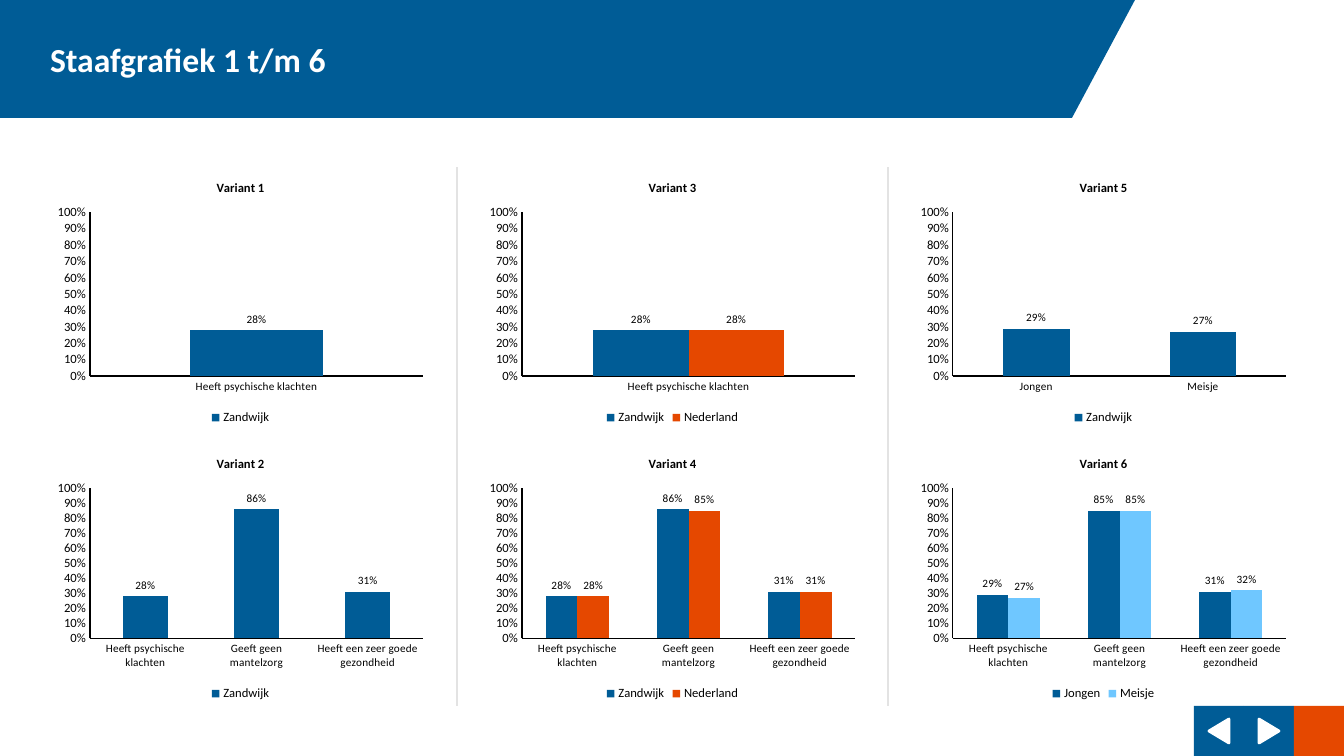
"""Build a slide with six clustered column charts under a title banner."""
from lxml import etree
from pptx import Presentation
from pptx.chart.data import CategoryChartData
from pptx.dml.color import RGBColor
from pptx.enum.chart import XL_CHART_TYPE, XL_LABEL_POSITION, XL_LEGEND_POSITION, XL_TICK_MARK
from pptx.enum.shapes import MSO_CONNECTOR, MSO_SHAPE
from pptx.enum.text import MSO_ANCHOR, PP_ALIGN
from pptx.oxml.ns import qn
from pptx.util import Pt

COLUMNS = XL_CHART_TYPE.COLUMN_CLUSTERED
OUTSIDE = XL_LABEL_POSITION.OUTSIDE_END
BOTTOM = XL_LEGEND_POSITION.BOTTOM
NO_TICK = XL_TICK_MARK.NONE
STRAIGHT = MSO_CONNECTOR.STRAIGHT
RECTANGLE = MSO_SHAPE.RECTANGLE
TRIANGLE = MSO_SHAPE.ISOSCELES_TRIANGLE
RIGHT_TRIANGLE = MSO_SHAPE.RIGHT_TRIANGLE
MIDDLE = MSO_ANCHOR.MIDDLE
LEFT = PP_ALIGN.LEFT

FONT = "Calibri"
BLUE, ORANGE, SKY = "005C96", "E54800", "6FC7FF"
BLACK, WHITE, GREY = "000000", "FFFFFF", "E3E3E3"

TITLE = "Staafgrafiek 1 t/m 6"
COMPLAINTS = ["Heeft psychische klachten"]
TOPICS = COMPLAINTS + ["Geeft geen mantelzorg", "Heeft een zeer goede gezondheid"]
CHARTS = [
    ("Variant 1", COMPLAINTS, [("Zandwijk", [0.28], BLUE)]),
    ("Variant 2", TOPICS, [("Zandwijk", [0.28, 0.86, 0.31], BLUE)]),
    ("Variant 3", COMPLAINTS, [("Zandwijk", [0.28], BLUE), ("Nederland", [0.28], ORANGE)]),
    ("Variant 4", TOPICS, [("Zandwijk", [0.28, 0.86, 0.31], BLUE),
                           ("Nederland", [0.28, 0.85, 0.31], ORANGE)]),
    ("Variant 5", ["Jongen", "Meisje"], [("Zandwijk", [0.29, 0.27], BLUE)]),
    ("Variant 6", TOPICS, [("Jongen", [0.29, 0.85, 0.31], BLUE),
                           ("Meisje", [0.27, 0.85, 0.32], SKY)]),
]
BUTTONS = [(BLUE, 270), (BLUE, 90), (ORANGE, None)]

PAGE_WIDTH, PAGE_HEIGHT = 1344, 756
BANNER_WIDTH, BANNER_HEIGHT, BANNER_TIP = 1072, 118, 63
MARGIN = 50
CHART_LEFTS = (50, 482, 913)
CHART_TOP, ROW_STEP = 167, 276
CHART_WIDTH, CHART_HEIGHT = 381, 262
DIVIDERS = (888, 457)
BUTTON = 50
BUTTON_TOP = PAGE_HEIGHT - BUTTON
ARROW_WIDTH, ARROW_HEIGHT = 24, 20


def px(length):
    return round(length * 914400 / 100.8)


def rgb(code):
    return RGBColor.from_string(code)


def set_font(font, size, color=BLACK, bold=False):
    font.name, font.size, font.bold = FONT, Pt(size), bold
    font.color.rgb = rgb(color)


def add_shape(page, kind, left, top, width, height, color, rotation=0):
    shape = page.shapes.add_shape(kind, px(left), px(top), px(width), px(height))
    shape.shadow.inherit = False
    shape.fill.solid()
    shape.fill.fore_color.rgb = rgb(color)
    shape.line.fill.background()
    shape.rotation = rotation
    return shape


def add_banner(page):
    tip = add_shape(page, RIGHT_TRIANGLE, BANNER_WIDTH, 0, BANNER_TIP, BANNER_HEIGHT, BLUE, 180)
    tip._element.spPr.xfrm.set("flipH", "1")
    banner = add_shape(page, RECTANGLE, 0, 0, BANNER_WIDTH, BANNER_HEIGHT, BLUE)
    frame = banner.text_frame
    frame.text = TITLE
    frame.margin_left = px(MARGIN)
    frame.vertical_anchor = MIDDLE
    para = frame.paragraphs[0]
    para.alignment = LEFT
    set_font(para.runs[0].font, 24, WHITE, True)


def add_buttons(page):
    for index, (color, rotation) in enumerate(BUTTONS):
        left = PAGE_WIDTH - BUTTON * (len(BUTTONS) - index)
        add_shape(page, RECTANGLE, left, BUTTON_TOP, BUTTON, BUTTON, color)
        if rotation is not None:
            arrow = add_shape(page, TRIANGLE, left + (BUTTON - ARROW_WIDTH) / 2,
                              BUTTON_TOP + (BUTTON - ARROW_HEIGHT) / 2,
                              ARROW_WIDTH, ARROW_HEIGHT, WHITE, rotation)
            arrow.line.color.rgb = rgb(WHITE)
            arrow.line.width = Pt(2)


def add_divider(page, x):
    line = page.shapes.add_connector(STRAIGHT, px(x), px(BUTTON_TOP), px(x), px(CHART_TOP))
    line.line.color.rgb = rgb(GREY)
    line.line.width = Pt(1)
    etree.SubElement(line._element.spPr, qn("a:effectLst"))


def style_axis(axis, size):
    axis.has_major_gridlines = False
    axis.major_tick_mark = axis.minor_tick_mark = NO_TICK
    axis.format.line.color.rgb = rgb(BLACK)
    axis.format.line.width = Pt(1)
    set_font(axis.tick_labels.font, size)


def add_chart(page, left, top, title, categories, series_list):
    data = CategoryChartData(number_format="0%")
    data.categories = categories
    for name, values, _ in series_list:
        data.add_series(name, values)
    chart = page.shapes.add_chart(COLUMNS, px(left), px(top), px(CHART_WIDTH),
                                  px(CHART_HEIGHT), data).chart
    set_font(chart.font, 18)
    chart.has_title = True
    chart.chart_title.include_in_layout = False
    heading = chart.chart_title.text_frame
    heading.text = title
    set_font(heading.paragraphs[0].runs[0].font, 9, BLACK, True)
    chart.has_legend = True
    chart.legend.position = BOTTOM
    chart.legend.include_in_layout = False
    set_font(chart.legend.font, 9)

    style_axis(chart.category_axis, 8)
    scale = chart.value_axis
    style_axis(scale, 9)
    scale.minimum_scale, scale.maximum_scale, scale.major_unit = 0, 1, 0.1
    scale.tick_labels.number_format = "0%"
    scale.tick_labels.number_format_is_linked = False

    plot = chart.plots[0]
    plot.gap_width, plot.overlap = 150, 0
    plot.vary_by_categories = False
    for series, (_, _, color) in zip(plot.series, series_list):
        series.format.fill.solid()
        series.format.fill.fore_color.rgb = rgb(color)
        labels = series.data_labels
        labels.show_value = True
        labels.position = OUTSIDE
        labels.number_format = "0%"
        labels.number_format_is_linked = False
        set_font(labels.font, 8)


def main():
    deck = Presentation()
    deck.slide_width, deck.slide_height = px(PAGE_WIDTH), px(PAGE_HEIGHT)
    page = deck.slides.add_slide(deck.slide_layouts[6])
    add_buttons(page)
    for x in DIVIDERS:
        add_divider(page, x)
    add_banner(page)
    for index, content in enumerate(CHARTS):
        column, row = divmod(index, 2)
        add_chart(page, CHART_LEFTS[column], CHART_TOP + row * ROW_STEP, *content)
    deck.save("out.pptx")


if __name__ == "__main__":
    main()
